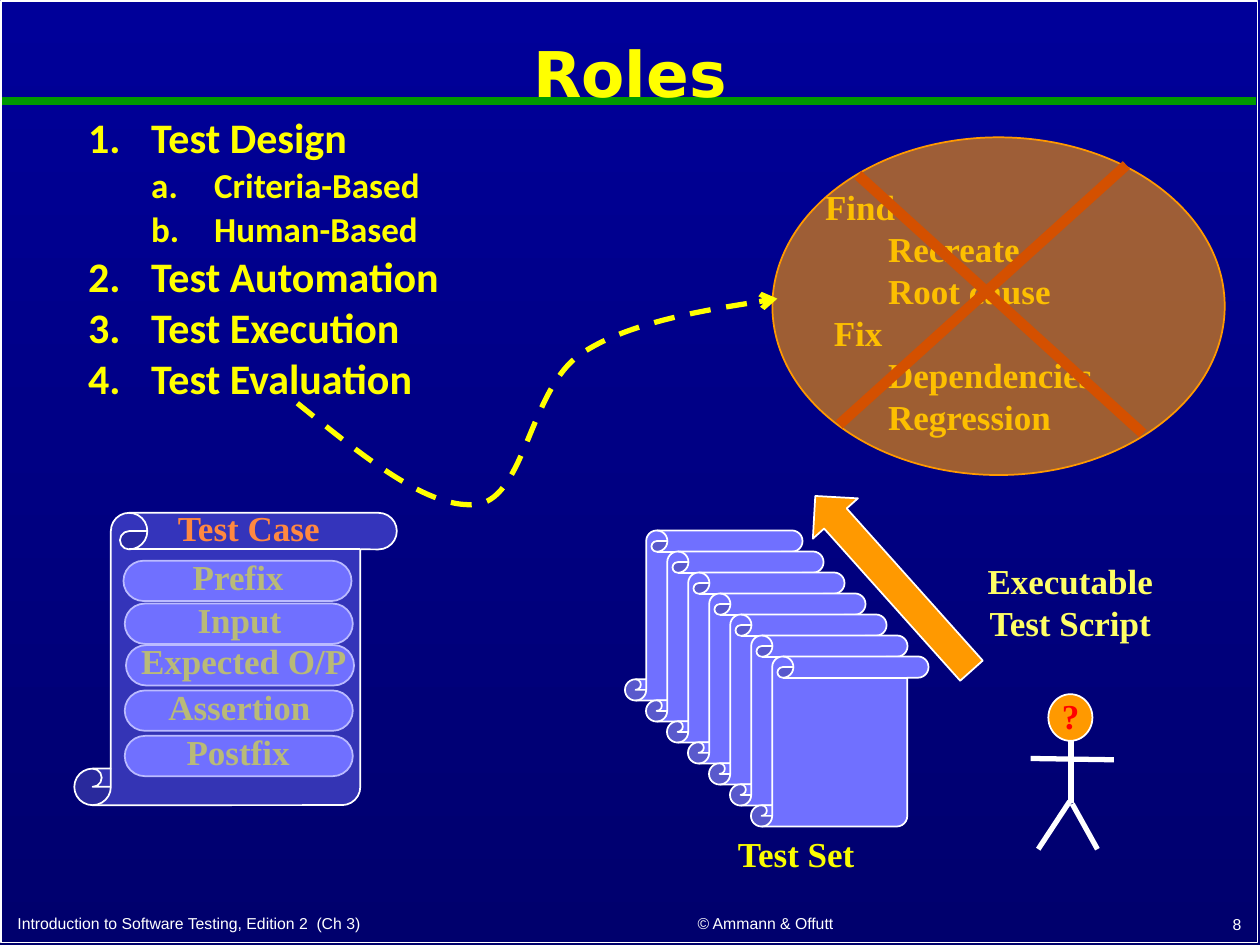
import dataclasses

import lxml.etree
import pptx
import pptx.dml.color
import pptx.enum.dml
import pptx.enum.shapes
import pptx.enum.text
import pptx.oxml.ns
import pptx.util


@dataclasses.dataclass(frozen=True)
class Theme:
    sky: str = "000099"
    night: str = "00006D"
    white: str = "FFFFFF"
    green: str = "009900"
    yellow: str = "FFFF00"
    label: str = "FAFD00"
    pale: str = "FFFF66"
    orange: str = "FF9900"
    coral: str = "FF8840"
    cross: str = "D45000"
    red: str = "FF0000"
    scroll: str = "7070FF"
    title_size: int = 36
    role_size: int = 24
    label_size: int = 20
    footer_size: int = 9
    title_font: str = "DejaVu Sans"
    list_font: str = "Calibri"
    label_font: str = "Times New Roman"
    footer_font: str = "Arial"


theme = Theme()
rgb = pptx.dml.color.RGBColor.from_string
qn = pptx.oxml.ns.qn
Pt = pptx.util.Pt
PRESET = pptx.enum.shapes.MSO_SHAPE
ALIGN = pptx.enum.text.PP_ALIGN
ANCHOR = pptx.enum.text.MSO_ANCHOR

deck = pptx.Presentation()
deck.slide_width, deck.slide_height = pptx.util.Inches(10), pptx.util.Inches(7.5)
CELL = deck.slide_width // 100
slide = deck.slides.add_slide(deck.slide_layouts[1])
shapes = slide.shapes


def write(text, box, holder=None, size=theme.label_size, font=theme.label_font,
          color=theme.label, bold=True, align=ALIGN.CENTER, anchor=ANCHOR.TOP, spacing=1.0):
    left, top, width, height = [round(CELL * cells) for cells in box]
    holder = holder or shapes.add_textbox(left, top, width, height)
    holder.left, holder.top, holder.width, holder.height = left, top, width, height
    frame = holder.text_frame
    frame.word_wrap = True
    frame.auto_size = pptx.enum.text.MSO_AUTO_SIZE.NONE
    frame.vertical_anchor = anchor
    frame.text = text
    for paragraph in frame.paragraphs:
        paragraph.alignment = align
        paragraph.line_spacing = spacing
        paragraph.space_before = Pt(0)
        run_font = paragraph.runs[0].font
        run_font.size, run_font.name, run_font.bold = Pt(size), font, bold
        run_font.color.rgb = rgb(color)
    return frame.paragraphs


def draw(preset, box, fill=None, outline=theme.white, opacity=100):
    shape = shapes.add_shape(preset, *[round(CELL * cells) for cells in box])
    shape.shadow.inherit = False
    shape.line.color.rgb = rgb(outline)
    shape.line.width = Pt(1)
    if fill is None:
        shape.fill.background()
    else:
        shape.fill.solid()
        shape.fill.fore_color.rgb = rgb(fill)
        tint = shape._element.spPr.find(qn("a:solidFill"))[0]
        if opacity < 100:
            lxml.etree.SubElement(tint, qn("a:alpha"), val=str(opacity * 1000))
    return shape


sky = slide.background.fill
sky.gradient()
sky.gradient_angle = 270
for stop, shade in zip(sky.gradient_stops, (theme.sky, theme.night)):
    stop.color.rgb = rgb(shade)

draw(PRESET.RECTANGLE, (0.1, 0.1, 99.7, 74.7))
heading, roles = slide.placeholders
write("Roles", (0.5, 1.1, 99, 10), heading, theme.title_size, theme.title_font,
      theme.yellow, anchor=ANCHOR.MIDDLE, spacing=0.9)

outline = [("Test Design", 0), ("Criteria-Based", 1), ("Human-Based", 1),
           ("Test Automation", 0), ("Test Execution", 0), ("Test Evaluation", 0)]
items = write("\n".join(name for name, _ in outline), (1, 9.1, 98.1, 62.7), roles,
              theme.role_size, theme.list_font, theme.yellow, align=ALIGN.LEFT, spacing=0.8)
for number, (item, (_, level)) in enumerate(zip(items, outline)):
    item.level = level
    item.space_before = Pt(6 if number else 0)
    if level:
        item.runs[0].font.size = Pt(theme.label_size)
    properties = item._p.get_or_add_pPr()
    properties.set("marL", str(CELL * (10 + 5 * level)))
    properties.set("indent", str(-CELL * 5))
    lxml.etree.SubElement(properties, qn("a:buAutoNum"),
                          type=("arabicPeriod", "alphaLcPeriod")[level])

for credit, box, align in [
    ("Introduction to Software Testing, Edition 2  (Ch 3)", (0.4, 71.8, 42, 2.7), ALIGN.LEFT),
    ("© Ammann & Offutt", (44.9, 71.7, 31.7, 2.8), ALIGN.CENTER),
    ("8", (78.7, 71.7, 20.8, 2.9), ALIGN.RIGHT),
]:
    write(credit, box, size=theme.footer_size, font=theme.footer_font, color=theme.white,
          bold=False, align=align, anchor=ANCHOR.BOTTOM)

write("Find\n\tRecreate\n\tRoot cause\n Fix\n\tDependencies\n\tRegression",
      (64.5, 14.2, 30.2, 21.2), align=ALIGN.LEFT)
draw(PRESET.OVAL, (61.3, 10.9, 35.9, 26.8), theme.orange, theme.orange, opacity=62)

bends = [(23.6, 32), (28.9, 36.3), (34.2, 40.6), (38, 40), (41.7, 39.3),
         (42.1, 30.8), (46.1, 28.1), (50, 25.4), (61.7, 23.7), (61.7, 23.7)]
start, *turns = [(round(CELL * x), round(CELL * y)) for x, y in bends]
builder = shapes.build_freeform(*start)
builder.add_line_segments(turns, close=False)
hand_off = builder.convert_to_shape()
hand_off.shadow.inherit = False
hand_off.fill.background()
hand_off.line.color.rgb = rgb(theme.yellow)
hand_off.line.width = Pt(3)
hand_off.line.dash_style = pptx.enum.dml.MSO_LINE.DASH
lxml.etree.SubElement(hand_off._element.spPr.find(qn("a:ln")), qn("a:tailEnd"), type="arrow")
route = hand_off._element.find(".//" + qn("a:path"))
steps = route.findall(qn("a:lnTo"))
for first in range(0, len(steps), 3):
    bend = lxml.etree.SubElement(route, qn("a:cubicBezTo"))
    for step in steps[first:first + 3]:
        bend.append(step[0])
        route.remove(step)

for part, left, top, middle in [
    ("Postfix", 9.9, 58.4, 18.9), ("Assertion", 9.9, 54.8, 19), ("Expected O/P", 10, 51.2, 19.35),
    ("Input", 9.9, 47.9, 19), ("Prefix", 9.8, 44.5, 18.9),
]:
    pill = draw(PRESET.ROUNDED_RECTANGLE, (left, top, 18.1, 3.2), theme.scroll)
    pill.adjustments[0] = 0.5
    write(part, (middle - 9.45, top - 0.9, 18.9, 4.4))
draw(PRESET.VERTICAL_SCROLL, (5.9, 40.7, 25.6, 23.2), theme.scroll, opacity=47)
write("Test Case", (10.6, 39.7, 18.3, 4.4), color=theme.coral)

for copy_number in range(7):
    shift = copy_number * 5 / 3
    draw(PRESET.VERTICAL_SCROLL, (49.6 + shift, 42.1 + shift, 14.1, 13.5), theme.scroll)
write("Test Set", (51.9, 65.6, 22.6, 4.4))

script_arrow = draw(PRESET.LEFT_ARROW, (61.6, 43.9, 18.6, 4.8), theme.orange)
script_arrow.rotation = 48.2
write("Executable Test Script", (75.1, 43.9, 19.7, 7.7), color=theme.pale)

draw(PRESET.OVAL, (83.2, 55.1, 3.5, 3.7), theme.orange)
strokes = [
    ((0, 8, 99.7, 8), theme.green, 4.5),
    ((85, 58.8, 85, 63.7), theme.white, 3),
    ((84.9, 63.6, 82.4, 67.4), theme.white, 3),
    ((85.1, 63.8, 87.1, 67.4), theme.white, 3),
    ((81.8, 60.2, 88.4, 60.3), theme.white, 3),
    ((68.1, 13.9, 90.7, 34.4), theme.cross, 6),
    ((89.4, 13.1, 66.6, 33.7), theme.cross, 6),
]
for ends, color, weight in strokes:
    stroke = shapes.add_connector(pptx.enum.shapes.MSO_CONNECTOR.STRAIGHT,
                                  *[round(CELL * cells) for cells in ends])
    stroke.line.color.rgb = rgb(color)
    stroke.line.width = Pt(weight)
    lxml.etree.SubElement(stroke._element.spPr, qn("a:effectLst"))
    if color == theme.green:
        heading._element.addprevious(stroke._element)
write("?", (83.3, 54.6, 4.9, 4.4), color=theme.red, align=ALIGN.LEFT)

deck.save("out.pptx")
